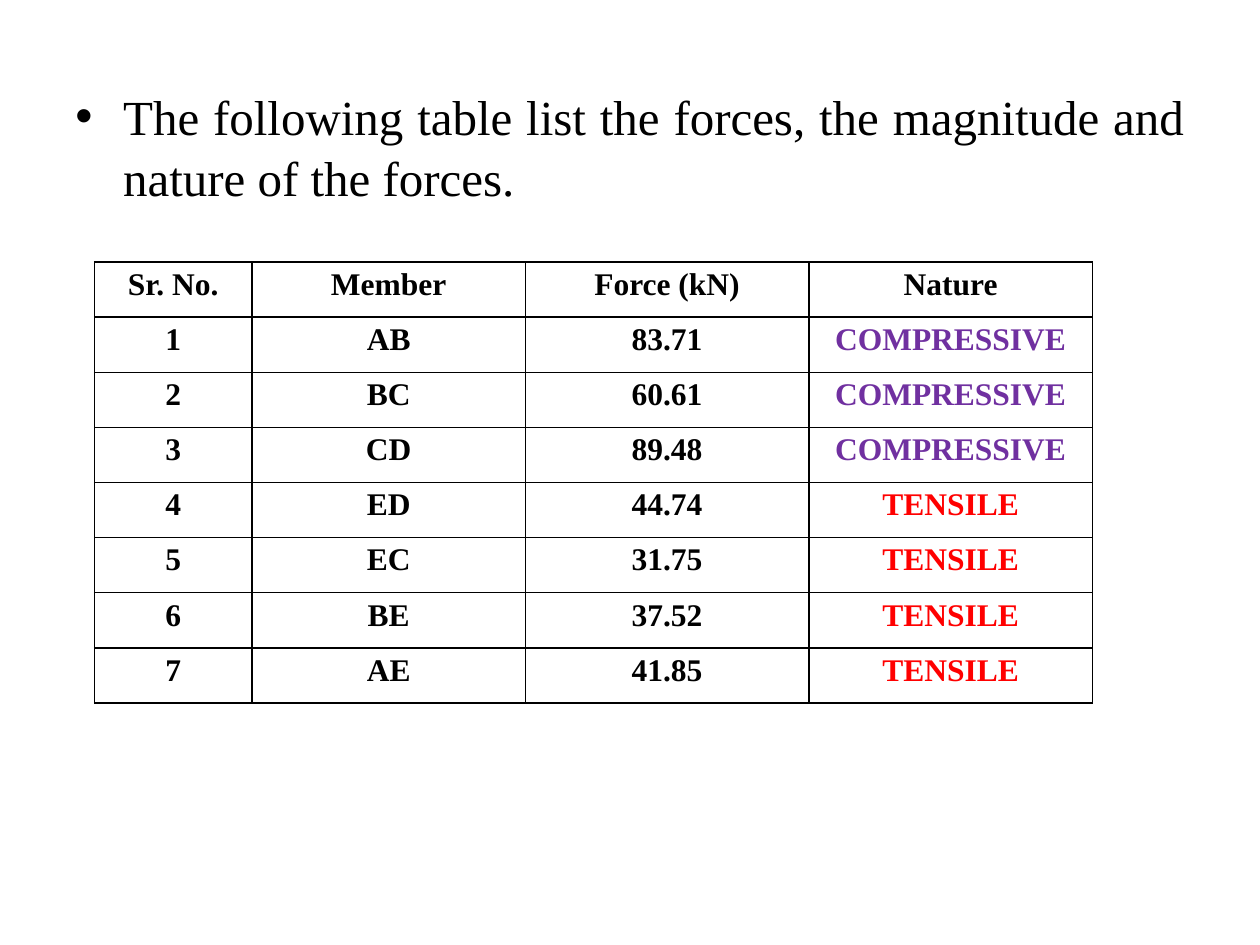
from lxml import etree
from pptx import Presentation
from pptx import util as u
from pptx.dml.color import RGBColor
from pptx.enum import text
from pptx.oxml import ns

# Content
INTRO = "The following table list the forces, the magnitude and nature of the forces."
HEADER = ("Sr. No.", "Member", "Force (kN)", "Nature")
FORCES = [
    ("AB", "83.71", "COMPRESSIVE"),
    ("BC", "60.61", "COMPRESSIVE"),
    ("CD", "89.48", "COMPRESSIVE"),
    ("ED", "44.74", "TENSILE"),
    ("EC", "31.75", "TENSILE"),
    ("BE", "37.52", "TENSILE"),
    ("AE", "41.85", "TENSILE"),
]
NATURE_COLOURS = {"COMPRESSIVE": "7030A0", "TENSILE": "FF0000"}

# Layout and formats
WIDTH, HEIGHT = 10, 7.5
INTRO_BOX = (0.5, 0.58, 9, 6.12)
TABLE_BOX = (0.75, 2.08, 7.92, 3.5)
COLUMNS = (1.25, 2.17, 2.25, 2.25)
BLACK = "000000"
INTRO_FONT = {"name": "Times New Roman", "size": u.Pt(28)}
CELL_FONT = {"name": "Times New Roman", "size": u.Pt(18), "bold": True}
CELL_FORMAT = {
    "margin_left": u.Inches(0.07), "margin_right": u.Inches(0.07),
    "margin_top": 0, "margin_bottom": 0,
}


def apply(target, values):
    for name, value in values.items():
        setattr(target, name, value)


def inches(lengths):
    return [u.Inches(length) for length in lengths]


def write(paragraph, words, font, colour):
    span = paragraph.add_run()
    span.text = words
    apply(span.font, font)
    span.font.color.rgb = RGBColor.from_string(colour)


def add_bullet(paragraph, indent):
    properties = paragraph._p.get_or_add_pPr()
    properties.set("marL", str(u.Inches(indent)))
    properties.set("indent", str(-u.Inches(indent)))
    etree.SubElement(properties, ns.qn("a:buFont")).set("typeface", "Arial")
    etree.SubElement(properties, ns.qn("a:buChar")).set("char", "•")


def add_borders(cell, colour, width):
    properties = cell._tc.get_or_add_tcPr()
    for position, side in enumerate(("lnL", "lnR", "lnT", "lnB")):
        line = etree.Element(ns.qn(f"a:{side}"), w=str(u.Pt(width)))
        fill = etree.SubElement(line, ns.qn("a:solidFill"))
        etree.SubElement(fill, ns.qn("a:srgbClr")).set("val", colour)
        properties.insert(position, line)


deck = Presentation()
deck.slide_width, deck.slide_height = inches((WIDTH, HEIGHT))
page = deck.slides.add_slide(deck.slide_layouts[6])

# Introductory bullet
box = page.shapes.add_textbox(*inches(INTRO_BOX))
box.text_frame.word_wrap = True
box.text_frame.margin_top = u.Inches(0.08)
paragraph = box.text_frame.paragraphs[0]
apply(paragraph, {"alignment": text.PP_ALIGN.JUSTIFY, "line_spacing": 1.05})
add_bullet(paragraph, 0.38)
write(paragraph, INTRO, INTRO_FONT, BLACK)

# Table of member forces
rows = [HEADER] + [(str(number), *force) for number, force in enumerate(FORCES, 1)]
table = page.shapes.add_table(len(rows), len(COLUMNS), *inches(TABLE_BOX)).table
apply(table, {"first_row": False, "horz_banding": False})
for column, width in zip(table.columns, inches(COLUMNS)):
    column.width = width
for row, values in zip(table.rows, rows):
    row.height = u.Inches(TABLE_BOX[3] / len(rows))
    for cell, value in zip(row.cells, values):
        apply(cell, CELL_FORMAT)
        cell.fill.background()
        add_borders(cell, BLACK, 1)
        paragraph = cell.text_frame.paragraphs[0]
        apply(paragraph, {"alignment": text.PP_ALIGN.CENTER, "line_spacing": 1.15})
        write(paragraph, value, CELL_FONT, NATURE_COLOURS.get(value, BLACK))

deck.save("out.pptx")
